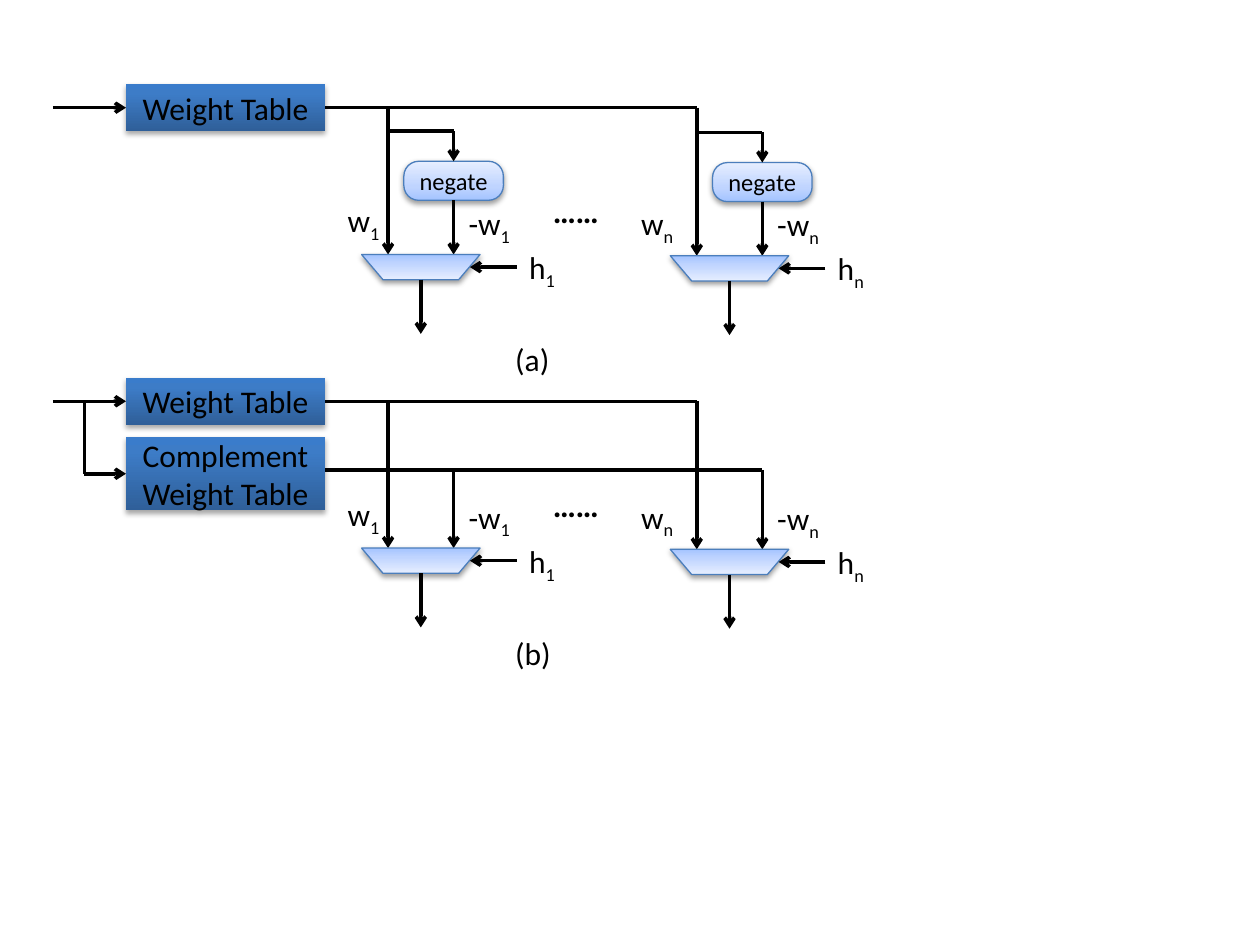
import pptx
import pptx.dml.color
import pptx.enum.shapes
import pptx.enum.text
import pptx.oxml
import pptx.oxml.ns
import pptx.util
from lxml import etree

SHAPE = pptx.enum.shapes.MSO_SHAPE
ALIGN = pptx.enum.text.PP_ALIGN
COLORS = {
    "ink": "000000", "outline": "4B7EBC",
    "table bottom": "2F5F99", "table middle": "3D7CC7", "table top": "3A7CCB",
    "gate dark": "A4C4FF", "gate middle": "BFD4FF", "gate light": "E6EEFF",
}
TABLE_FILL = [(0, "table bottom"), (80, "table middle"), (100, "table top")]
GATE_FILL = [(0, "gate dark"), (35, "gate middle"), (100, "gate light")]
COLUMNS, ROWS = 100, 75          # grid over the slide
TOP, LEFT, BOTTOM, RIGHT = range(4)   # connection sites of a rectangle


def rgb(name):
    return pptx.dml.color.RGBColor.from_string(COLORS[name])


def sub(parent, tag, **attributes):
    return etree.SubElement(parent, pptx.oxml.ns.qn(tag), attributes)


def write(frame, text, subscript="", size=18, bold=False, lowered=False,
          align=ALIGN.LEFT):
    """Put one line in a text frame, with an optional subscript after it."""
    frame.word_wrap = True
    paragraph = frame.paragraphs[0]
    paragraph.alignment = align
    for words, low in ((text, lowered), (subscript, True)):
        if not words:
            continue
        run = paragraph.add_run()
        run.text = words
        run.font.name = "Calibri"
        run.font.size = pptx.util.Pt(size)
        run.font.bold = bold
        run.font.color.rgb = rgb("ink")
        if low:
            run.font._element.set("baseline", "-25000")


class Diagram:
    def __init__(self, presentation):
        self.slide = presentation.slides.add_slide(presentation.slide_layouts[6])
        self.column = presentation.slide_width / COLUMNS
        self.row = presentation.slide_height / ROWS

    def grid(self, *lengths):
        units = (self.column, self.row)
        return [round(n * units[i % 2]) for i, n in enumerate(lengths)]

    def block(self, kind, box, stops, alpha, distance):
        shape = self.slide.shapes.add_shape(kind, *self.grid(*box))
        shape.fill.gradient()
        shape.fill.gradient_angle = 90
        properties = shape._element.spPr
        stop_list = properties.find(".//" + pptx.oxml.ns.qn("a:gsLst"))
        for stop in list(stop_list):
            stop_list.remove(stop)
        for percent, name in stops:
            stop = sub(stop_list, "a:gs", pos=str(percent * 1000))
            sub(stop, "a:srgbClr", val=COLORS[name])
        shape.shadow.inherit = False
        shadow = sub(properties.find(pptx.oxml.ns.qn("a:effectLst")), "a:outerShdw",
                     blurRad="40000", dist=str(distance), dir="5400000",
                     rotWithShape="0")
        ink = sub(shadow, "a:srgbClr", val=COLORS["ink"])
        sub(ink, "a:alpha", val=str(alpha * 1000))
        return shape

    def table(self, text, *box):
        shape = self.block(SHAPE.RECTANGLE, box, TABLE_FILL, 35, 23000)
        shape.line.fill.background()
        write(shape.text_frame, text, align=ALIGN.CENTER)
        return shape

    def gate(self, kind, adjustment, *box):
        shape = self.block(kind, box, GATE_FILL, 38, 20000)
        shape.adjustments[0] = adjustment
        shape.line.color.rgb = rgb("outline")
        shape.line.width = pptx.util.Pt(0.75)
        return shape

    def negate(self, *box):
        shape = self.gate(SHAPE.ROUNDED_RECTANGLE, 0.38, *box)
        frame = shape.text_frame
        frame.margin_left = frame.margin_right = pptx.util.Inches(0.05)
        frame.margin_top = frame.margin_bottom = pptx.util.Inches(0.05)
        write(frame, "negate", size=14, align=ALIGN.CENTER)
        return shape

    def multiplexer(self, *box):
        self.gate(SHAPE.TRAPEZOID, 0.85, *box).rotation = 180

    def label(self, text, x, y, width=5.5, height=4, **style):
        frame = self.slide.shapes.add_textbox(
            *self.grid(x, y, width, height)).text_frame
        write(frame, text, **style)
        frame.auto_size = pptx.enum.text.MSO_AUTO_SIZE.SHAPE_TO_FIT_TEXT

    def wire(self, x1, y1, x2, y2, arrow=False, begin=None, end=None):
        line = self.slide.shapes.add_connector(
            pptx.enum.shapes.MSO_CONNECTOR.STRAIGHT, *self.grid(x1, y1, x2, y2))
        line.line.color.rgb = rgb("ink")
        line.line.width = pptx.util.Pt(2)
        if arrow:
            sub(line.line._get_or_add_ln(), "a:tailEnd", type="arrow")
        sub(line._element.spPr, "a:effectLst")
        if begin:
            line.begin_connect(*begin)
        if end:
            line.end_connect(*end)


FIRST, LAST = 30.8, 55.3      # columns of the weight wires
BRANCH = 5.2                  # from a weight wire to its negated twin
BUS = 8.55                    # row of the weight bus within a panel
PANEL_STEP = 23.3
COMPLEMENT_BUS = 37.3


def draw_unit(diagram, x, top, index, drop, negated):
    """One multiplexer with its weight, negated weight, select and output."""
    twin = x + BRANCH
    diagram.wire(x, top + BUS, x, top + 20.2 + drop, arrow=True)
    if negated:
        split = top + 10.4 + drop
        negate = diagram.negate(twin - 3.95, split + 2.4, 7.9, 3.1)
        diagram.wire(x, split, twin, split)
        diagram.wire(twin, split, twin, split + 2.4, arrow=True, end=(negate, TOP))
        diagram.wire(twin, split + 5.5, twin, top + 20.2 + drop, arrow=True,
                     begin=(negate, BOTTOM))
    else:
        diagram.wire(twin, COMPLEMENT_BUS, twin, top + 20.2 + drop, arrow=True)
    y = top + 20.2 + drop
    diagram.multiplexer(x - 2.1, y, 9.4, 2)
    diagram.wire(x + 10.2, y + 1, x + 6.5, y + 1, arrow=True)
    diagram.wire(x + 2.6, y + 2, x + 2.6, y + 6.3, arrow=True)
    diagram.label("-w", x + 5.4, y - 4.5, subscript=index)
    diagram.label("h", x + 10.2, y - 1, subscript=index)


def draw_panel(diagram, top, caption, negated):
    weights = diagram.table("Weight Table", 10, top + 6.7, 15.8, 3.7)
    diagram.wire(4.2, top + BUS, 10, top + BUS, arrow=True, end=(weights, LEFT))
    diagram.wire(25.8, top + BUS, LAST, top + BUS, begin=(weights, RIGHT))
    draw_unit(diagram, FIRST, top, "1", 0, negated)
    draw_unit(diagram, LAST, top, "n", 0.1, negated)
    diagram.label("w", 26.6, top + 15.5, subscript="1")
    diagram.label("w", 49.9, top + 15.7, subscript="n")
    diagram.label("……", 40.2, top + 11.7, 11, 4.6, size=32, bold=True,
                  lowered=True, align=ALIGN.CENTER)
    diagram.label(caption, 39.9, top + 26.5)


def main():
    presentation = pptx.Presentation()
    presentation.slide_width = pptx.util.Inches(10)
    presentation.slide_height = pptx.util.Inches(7.5)
    diagram = Diagram(presentation)

    # Panel (a): weights negated by logic
    draw_panel(diagram, 0, "(a)", negated=True)

    # Panel (b): negated weights read from a second table
    draw_panel(diagram, PANEL_STEP, "(b)", negated=False)
    complement = diagram.table("Complement Weight Table", 10, 34.7, 15.8, 5.8)
    diagram.wire(6.7, PANEL_STEP + BUS, 6.7, 37.6)
    diagram.wire(6.7, 37.6, 10, 37.6, arrow=True, end=(complement, LEFT))
    diagram.wire(25.8, COMPLEMENT_BUS, LAST + BRANCH, COMPLEMENT_BUS)

    presentation.save("out.pptx")


if __name__ == "__main__":
    main()
